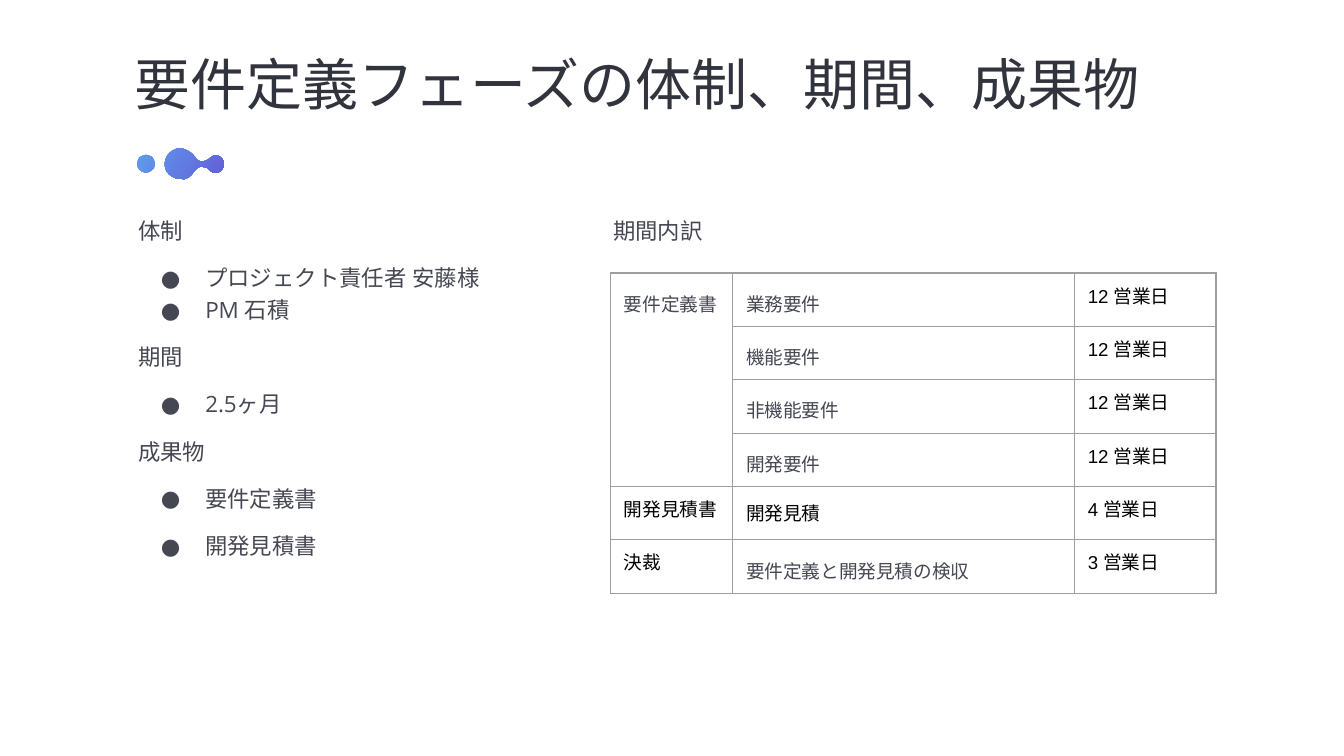
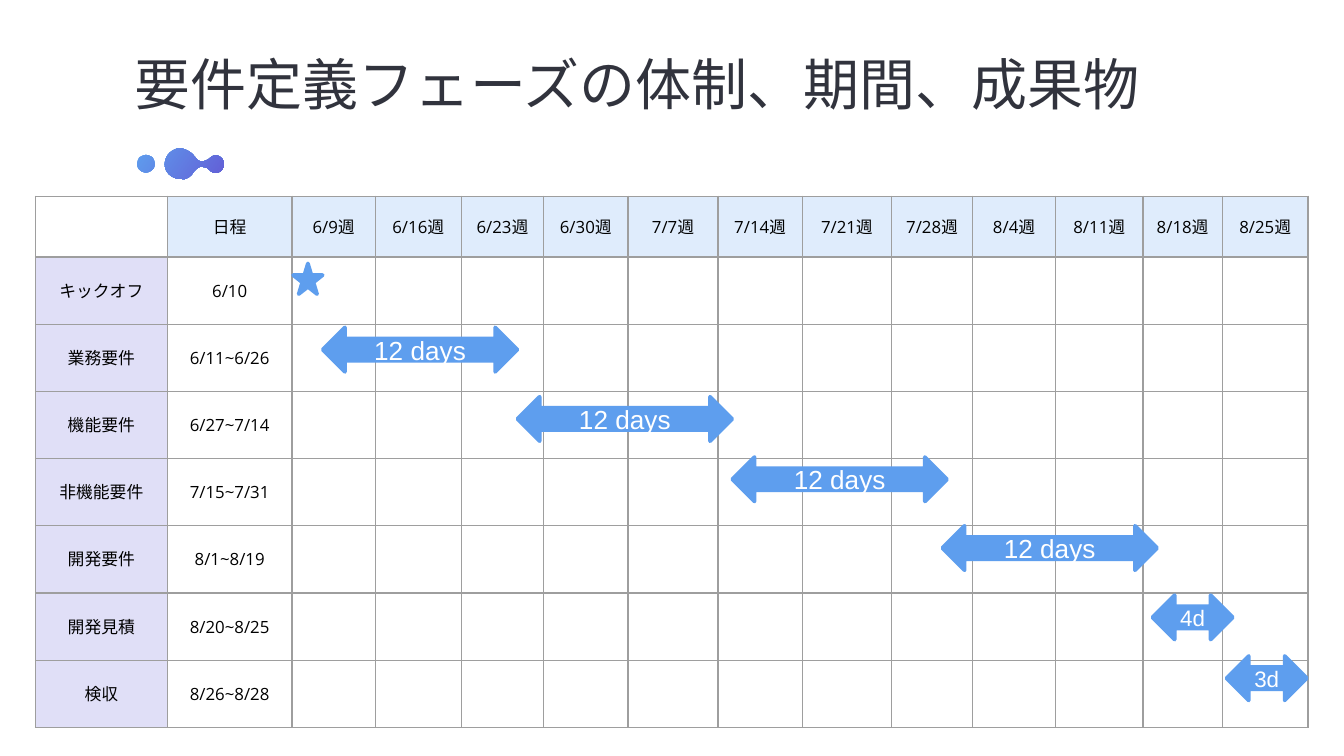
import pptx
import pptx.util
import pptx.dml.color
import pptx.enum.shapes
import pptx.enum.text
import pptx.oxml
import pptx.oxml.ns
from lxml import etree

Cm = pptx.util.Cm
Pt = pptx.util.Pt
RGB = pptx.dml.color.RGBColor.from_string
qn = pptx.oxml.ns.qn
ALIGN = pptx.enum.text.PP_ALIGN
ANCHOR = pptx.enum.text.MSO_ANCHOR
SHAPE = pptx.enum.shapes.MSO_SHAPE

COLORS = {
    "title": "31333D", "body": "454752", "black": "000000", "white": "FFFFFF",
    "border": "9E9E9E", "week": "DFECFC", "task": "E0DFF7",
    "blue": "5E9EEE", "violet": "635ED6",
}
TITLE = "要件定義フェーズの体制、期間、成果物"
BLOB_CONTOURS = [
    [(134, 110), (128, 110), (122, 115), (122, 122), (122, 128), (127, 133), (134, 133),
     (138, 134), (142, 131), (144, 127), (145, 126), (146, 125), (148, 124),
     (151, 124), (153, 124), (155, 126), (159, 131), (166, 128), (166, 122),
     (166, 116), (159, 113), (155, 118), (153, 119), (152, 120), (150, 120),
     (147, 120), (145, 118), (144, 116), (142, 113), (138, 111), (134, 110)],
    [(108, 115), (106, 115), (105, 116), (103, 117), (101, 120), (101, 124), (103, 126),
     (106, 129), (110, 129), (113, 126), (115, 124), (115, 120), (113, 117),
     (111, 116), (110, 115), (108, 115)],
]
BLOB_UNIT = Cm(2.54) / 100


def write(frame, text, size=12, font="Open Sans", color="body", align=ALIGN.LEFT,
          line_spacing=None, space_before=0, bullet=False, margin=None, anchor=None):
    paragraph = frame.add_paragraph() if frame.text else frame.paragraphs[0]
    paragraph.alignment = align
    paragraph.space_before = Pt(space_before)
    if line_spacing:
        paragraph.line_spacing = line_spacing
    if bullet:
        properties = paragraph._p.get_or_add_pPr()
        properties.set("marL", str(Cm(1.27)))
        properties.set("indent", str(Cm(-0.84)))
        bullet_color = etree.SubElement(properties, qn("a:buClr"))
        etree.SubElement(bullet_color, qn("a:srgbClr"), val=COLORS[color])
        etree.SubElement(properties, qn("a:buFont"), typeface=font)
        etree.SubElement(properties, qn("a:buChar"), char="●")
    run = paragraph.add_run()
    run.text = text
    run.font.size = Pt(size)
    run.font.name = font
    run.font.color.rgb = RGB(COLORS[color])
    etree.SubElement(run._r.get_or_add_rPr(), qn("a:ea"), typeface=font)
    if margin is not None:
        frame.word_wrap = True
        frame.margin_left = frame.margin_right = Cm(margin)
        frame.margin_top = frame.margin_bottom = Cm(margin)
    if anchor is not None:
        frame.vertical_anchor = anchor


def add_grid(slide, left, top, widths, heights):
    frame = slide.shapes.add_table(len(heights), len(widths), Cm(left), Cm(top),
                                   Cm(sum(widths)), Cm(sum(heights)))
    table = frame.table
    table.first_row = table.horz_banding = False
    for column, width in zip(table.columns, widths):
        column.width = Cm(width)
    for row, height in zip(table.rows, heights):
        row.height = Cm(height)
    for cell in table.iter_cells():
        properties = cell._tc.get_or_add_tcPr()
        for side in ("a:lnL", "a:lnR", "a:lnT", "a:lnB"):
            line = etree.SubElement(properties, qn(side), w=str(Pt(0.75)))
            fill = etree.SubElement(line, qn("a:solidFill"))
            etree.SubElement(fill, qn("a:srgbClr"), val=COLORS["border"])
        cell.fill.background()
    return table


presentation = pptx.Presentation()
presentation.slide_width = Cm(25.4)
presentation.slide_height = Cm(14.29)

slides = [presentation.slides.add_slide(presentation.slide_layouts[5]) for _ in range(2)]
for slide in slides:
    title = slide.shapes.title
    title.left, title.top, title.width, title.height = Cm(2.49), Cm(0.89), Cm(20.02), Cm(1.35)
    title.text_frame.auto_size = pptx.enum.text.MSO_AUTO_SIZE.NONE
    write(title.text_frame, TITLE, size=30, font="Arial", color="title",
          margin=0.05, anchor=ANCHOR.MIDDLE)

    builder = slide.shapes.build_freeform(*BLOB_CONTOURS[0][0], scale=BLOB_UNIT)
    for index, contour in enumerate(BLOB_CONTOURS):
        if index:
            builder.move_to(*contour[0])
        builder.add_line_segments(contour[1:], close=True)
    blob = builder.convert_to_shape()
    segments = list(blob._element.iter(qn("a:lnTo")))
    for first in range(0, len(segments), 3):
        curve = etree.Element(qn("a:cubicBezTo"))
        segments[first].addprevious(curve)
        for segment in segments[first:first + 3]:
            curve.append(segment[0])
            segment.getparent().remove(segment)
    blob.left, blob.top = Cm(2.58), Cm(2.8)
    blob.shadow.inherit = False
    blob.line.fill.background()
    blob.fill.gradient()
    blob.fill.gradient_angle = 326
    for stop, name in zip(blob.fill.gradient_stops, ("blue", "violet")):
        stop.color.rgb = RGB(COLORS[name])

overview, schedule = slides

summary = overview.shapes.add_textbox(Cm(2.56), Cm(3.95), Cm(8.81), Cm(7.54))
for text, bullet, space_before in [
    ("体制", False, 8),
    ("プロジェクト責任者 安藤様", True, 8),
    ("PM 石積", True, 0),
    ("期間", False, 8),
    ("2.5ヶ月", True, 8),
    ("成果物", False, 8),
    ("要件定義書", True, 8),
    ("開発見積書", True, 8),
]:
    write(summary.text_frame, text, bullet=bullet, space_before=space_before,
          line_spacing=1.2, margin=0.05)

period_table = add_grid(overview, 11.54, 5.16, [2.31, 6.46, 2.67], [0.64] * 6)
for cell in period_table.iter_cells():
    cell.margin_left = cell.margin_right = Cm(0.25)
    cell.margin_top = cell.margin_bottom = Cm(0.25)
period_table.cell(0, 0).merge(period_table.cell(3, 0))
spaced = {"line_spacing": 1.2, "space_before": 8}
plain = {"font": "Arial", "color": "black"}
for row, (document, item, days) in enumerate([
    ("要件定義書", "業務要件", 12),
    ("", "機能要件", 12),
    ("", "非機能要件", 12),
    ("", "開発要件", 12),
    ("開発見積書", "開発見積", 4),
    ("決裁", "要件定義と開発見積の検収", 3),
]):
    item_style = {**spaced, **plain} if item == "開発見積" else spaced
    styles = [spaced if row == 0 else plain, item_style, plain]
    for column, text in enumerate([document, item, f"{days} 営業日"]):
        if text:
            write(period_table.cell(row, column).text_frame, text, size=10, **styles[column])

period_heading = overview.shapes.add_textbox(Cm(11.54), Cm(3.95), Cm(8.81), Cm(1.19))
write(period_heading.text_frame, "期間内訳", margin=0.05, **spaced)

weeks = ["6/9", "6/16", "6/23", "6/30", "7/7", "7/14", "7/21", "7/28",
         "8/4", "8/11", "8/18", "8/25"]
tasks = [
    ("キックオフ", "6/10"),
    ("業務要件", "6/11~6/26"),
    ("機能要件", "6/27~7/14"),
    ("非機能要件", "7/15~7/31"),
    ("開発要件", "8/1~8/19"),
    ("開発見積", "8/20~8/25"),
    ("検収", "8/26~8/28"),
]
column_widths = [2.49, 2.36, 1.57, 1.63, 1.55, 1.6, 1.7, 1.59, 1.69, 1.53, 1.57, 1.65, 1.5, 1.62]
schedule_table = add_grid(schedule, 0.67, 3.71, column_widths, [1.15] + [1.27] * len(tasks))
schedule_rows = [["", "日程"] + [f"{week}週" for week in weeks]] + tasks
for row, texts in enumerate(schedule_rows):
    for column, text in enumerate(texts):
        if not text:
            continue
        cell = schedule_table.cell(row, column)
        cell.vertical_anchor = ANCHOR.MIDDLE
        write(cell.text_frame, text, size=9, color="black", align=ALIGN.CENTER)
        if row == 0 or column == 0:
            cell.fill.solid()
            cell.fill.fore_color.rgb = RGB(COLORS["week" if row == 0 else "task"])

for kind, left, top, width, height, label, size in [
    (SHAPE.STAR_5_POINT, 5.54, 4.98, 0.56, 0.58, "", 0),
    (SHAPE.LEFT_RIGHT_ARROW, 6.1, 6.19, 3.68, 0.84, "12 days", 14),
    (SHAPE.LEFT_RIGHT_ARROW, 9.78, 7.5, 4.06, 0.84, "12 days", 14),
    (SHAPE.LEFT_RIGHT_ARROW, 13.84, 8.64, 4.06, 0.84, "12 days", 14),
    (SHAPE.LEFT_RIGHT_ARROW, 17.81, 9.94, 4.06, 0.84, "12 days", 14),
    (SHAPE.LEFT_RIGHT_ARROW, 21.78, 11.25, 1.52, 0.84, "4d", 12),
    (SHAPE.LEFT_RIGHT_ARROW, 23.18, 12.4, 1.52, 0.84, "3d", 12),
]:
    marker = schedule.shapes.add_shape(kind, Cm(left), Cm(top), Cm(width), Cm(height))
    marker.shadow.inherit = False
    marker.fill.solid()
    marker.fill.fore_color.rgb = RGB(COLORS["blue"])
    marker.line.color.rgb = RGB(COLORS["blue"])
    marker.line.width = Pt(2)
    if label:
        write(marker.text_frame, label, size=size, font="Arial", color="white",
              align=ALIGN.CENTER, anchor=ANCHOR.MIDDLE)

presentation.save("out.pptx")
